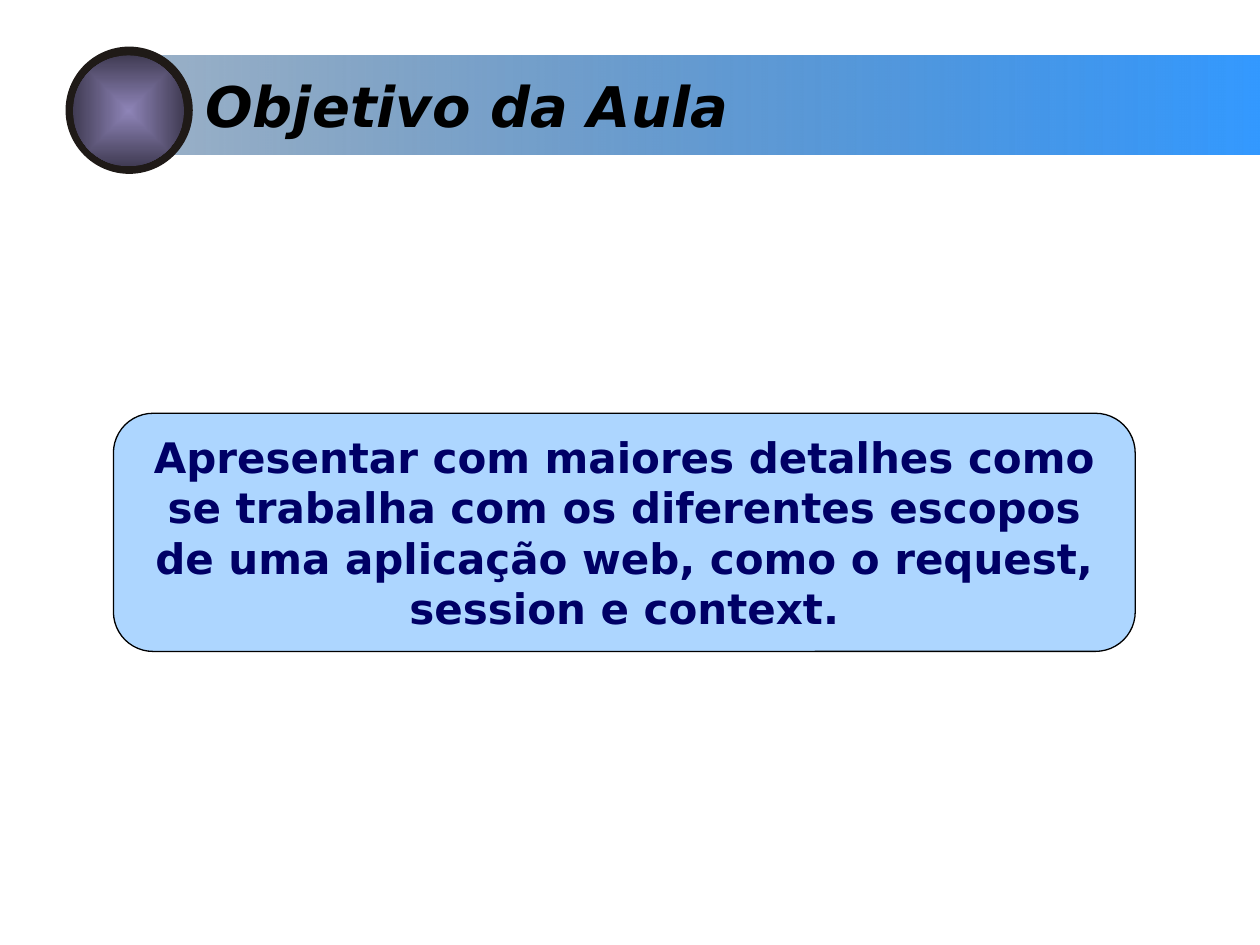
from lxml.etree import SubElement
from pptx import Presentation
from pptx.dml.color import RGBColor
from pptx.enum.shapes import MSO_SHAPE
from pptx.enum.text import MSO_ANCHOR, PP_ALIGN
from pptx.oxml import parse_xml
from pptx.oxml.ns import nsdecls, qn
from pptx.util import Inches, Pt

BLUE = RGBColor(0x33, 0x99, 0xFF)
STEEL = RGBColor(0x19, 0x4D, 0x81)
LILAC = RGBColor(0x8E, 0x84, 0xB7)
PLUM = RGBColor(0x41, 0x3C, 0x54)
RING = RGBColor(0x1F, 0x1A, 0x17)
NAVY = RGBColor(0x00, 0x00, 0x66)
BLACK = RGBColor(0x00, 0x00, 0x00)
FONT = "DejaVu Sans"


def add_panel(page, kind, left, top, width, height):
    panel = page.shapes.add_shape(
        kind, Inches(left), Inches(top), Inches(width), Inches(height))
    panel.shadow.inherit = False
    panel.line.fill.background()
    return panel


def set_gradient(shape, start, end, end_opacity, direction):
    shape.fill.background()
    no_fill = shape.fill._xPr.find(qn("a:noFill"))
    gradient = parse_xml(
        f'<a:gradFill {nsdecls("a")} rotWithShape="1"><a:gsLst>'
        f'<a:gs pos="0"><a:srgbClr val="{start}"/></a:gs>'
        f'<a:gs pos="100000"><a:srgbClr val="{end}">'
        f'<a:alpha val="{end_opacity * 1000}"/></a:srgbClr></a:gs>'
        f'</a:gsLst>{direction}</a:gradFill>')
    no_fill.getparent().replace(no_fill, gradient)


deck = Presentation()
deck.slide_width = Inches(10)
deck.slide_height = Inches(7.5)
page = deck.slides.add_slide(deck.slide_layouts[6])

bar = add_panel(page, MSO_SHAPE.RECTANGLE, 1.22, 0.44, 8.78, 0.79)
set_gradient(bar, BLUE, STEEL, 44, '<a:lin ang="10800000" scaled="0"/>')

title = page.shapes.add_textbox(Inches(1.53), Inches(0.52), Inches(8.47), Inches(0.64))
title.text_frame.text = "Objetivo da Aula"

goal = add_panel(page, MSO_SHAPE.ROUNDED_RECTANGLE, 0.9, 3.28, 8.11, 1.89)
goal.fill.solid()
goal.fill.fore_color.rgb = BLUE
blue = goal.fill._xPr.find(qn("a:solidFill"))[0]
SubElement(blue, qn("a:alpha"), val="40000")
goal.line.color.rgb = BLACK
goal.line.width = Pt(0.75)
goal.text_frame.vertical_anchor = MSO_ANCHOR.MIDDLE
goal.text_frame.text = (
    "Apresentar com maiores detalhes como se trabalha com os diferentes escopos "
    "de uma aplicação web, como o request, session e context.")

for box, size, color, align, italic in (
    (title, 32, BLACK, PP_ALIGN.LEFT, True),
    (goal, 24, NAVY, PP_ALIGN.CENTER, False),
):
    box.text_frame.word_wrap = True
    para = box.text_frame.paragraphs[0]
    para.alignment = align
    span = para.runs[0]
    span.font.name = FONT
    span.font.size = Pt(size)
    span.font.bold = True
    span.font.italic = italic
    span.font.color.rgb = color

ring = add_panel(page, MSO_SHAPE.OVAL, 0.52, 0.37, 1.01, 1.01)
ring.fill.solid()
ring.fill.fore_color.rgb = RING

button = add_panel(page, MSO_SHAPE.OVAL, 0.58, 0.44, 0.88, 0.88)
set_gradient(button, LILAC, PLUM, 100,
             '<a:path path="rect"><a:fillToRect l="50000" t="50000" r="50000" b="50000"/></a:path>')

deck.save("out.pptx")
